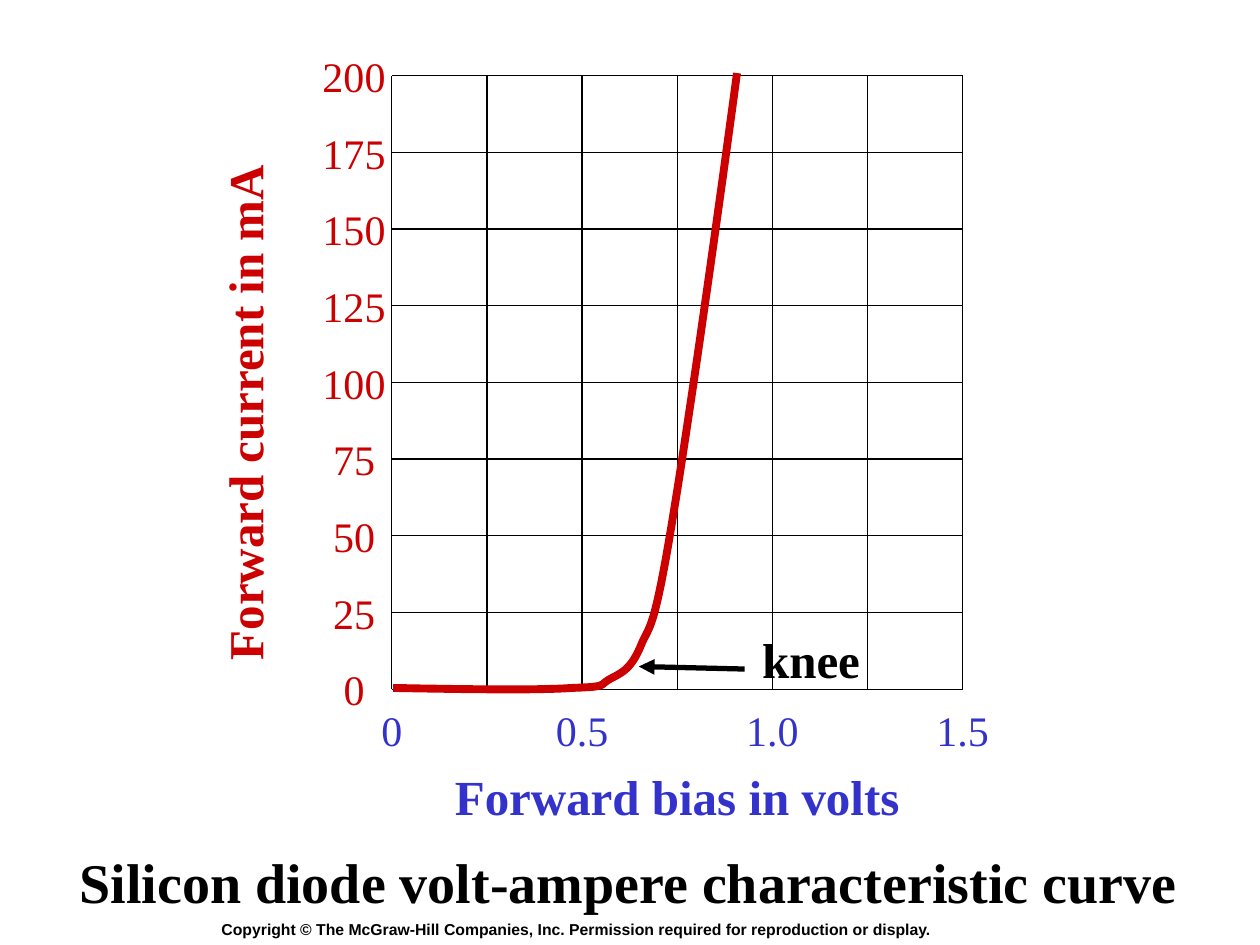
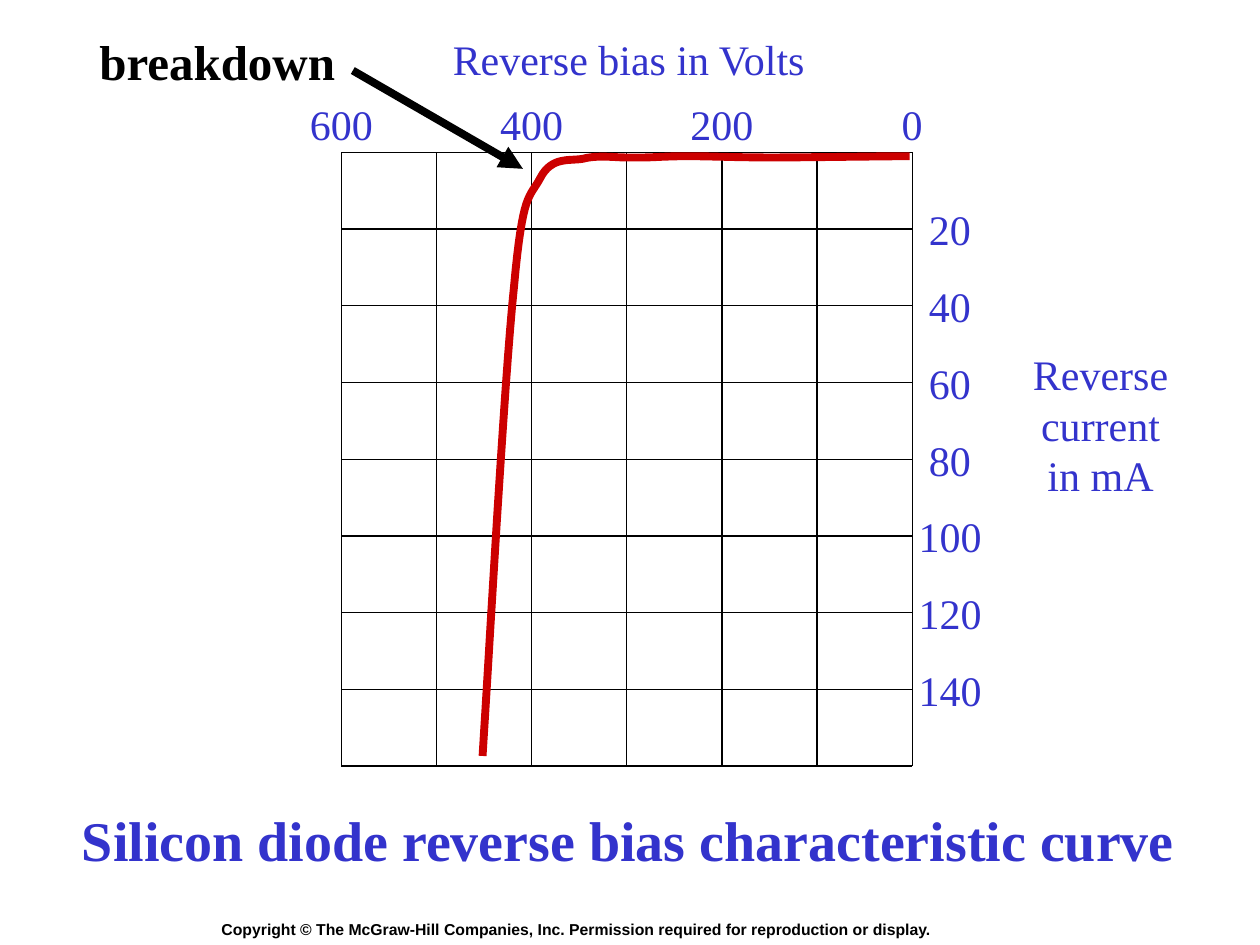
from collections import namedtuple

from lxml.etree import SubElement
from pptx import Presentation
from pptx.dml.color import RGBColor
from pptx.enum.shapes import MSO_CONNECTOR as CONNECTOR
from pptx.enum.text import MSO_ANCHOR as ANCHOR, MSO_AUTO_SIZE as AUTO_SIZE, PP_ALIGN as ALIGN
from pptx.oxml.ns import qn
from pptx.util import Inches, Pt

BLACK = RGBColor(0x00, 0x00, 0x00)
RED = RGBColor(0xCC, 0x00, 0x00)
BLUE = RGBColor(0x33, 0x33, 0xCC)
SERIF, SANS = "Times New Roman", "Arial"

COLUMNS, ROWS = 6, 8
GRAPH_WIDTH, GRAPH_HEIGHT = 4.53, 4.87
LABEL_HEIGHT = 0.5
COPYRIGHT = ("Copyright © The McGraw-Hill Companies, Inc. "
             "Permission required for reproduction or display.")

# Bezier curves, in inches from the top left of the graph:
# a start point, then two handles and an end point for each segment
FORWARD_CURVE = [
    (0.01, 4.86),
    (0.57, 4.87), (1.14, 4.88), (1.43, 4.86),
    (1.72, 4.85), (1.64, 4.84), (1.73, 4.79),
    (1.82, 4.74), (1.89, 4.72), (1.97, 4.54),
    (2.04, 4.36), (2.07, 4.45), (2.20, 3.69),
    (2.33, 2.93), (2.54, 1.46), (2.74, -0.02),
]
REVERSE_CURVE = [
    (4.51, 0.03),
    (4.33, 0.03), (3.71, 0.04), (3.41, 0.04),
    (3.12, 0.04), (2.92, 0.03), (2.75, 0.03),
    (2.58, 0.03), (2.48, 0.04), (2.39, 0.04),
    (2.31, 0.04), (2.32, 0.04), (2.25, 0.04),
    (2.17, 0.04), (2.03, 0.02), (1.92, 0.05),
    (1.81, 0.07), (1.67, 0.03), (1.58, 0.20),
    (1.49, 0.37), (1.44, 0.30), (1.37, 1.06),
    (1.29, 1.83), (1.17, 4.02), (1.12, 4.79),
]


class Box(namedtuple("Box", "left top width height")):
    def inner(self, dx, dy, width, height):
        """A box whose corner lies dx, dy from the corner of this one."""
        return Box(self.left + dx, self.top + dy, width, height)

    def column_x(self, column):
        return self.left + self.width * column / COLUMNS

    def row_y(self, row):
        return self.top + self.height * row / ROWS


SLIDE = Box(0, 0, 10, 7.5)


def add_text(slide, box, lines, color, size=24, bold=False, font=SERIF,
             align=ALIGN.CENTER, anchor=ANCHOR.MIDDLE, wrap=False):
    caption = slide.shapes.add_textbox(*map(Inches, box))
    frame = caption.text_frame
    frame.text = lines
    frame_format = {"word_wrap": wrap, "vertical_anchor": anchor,
                    "auto_size": AUTO_SIZE.SHAPE_TO_FIT_TEXT}
    for name, value in frame_format.items():
        setattr(frame, name, value)
    font_format = {"name": font, "size": Pt(size), "bold": bold}
    for paragraph in frame.paragraphs:
        paragraph.alignment = align
        for name, value in font_format.items():
            setattr(paragraph.font, name, value)
        paragraph.font.color.rgb = color
    return caption


def add_line(shapes, start, end, weight=0.75, arrow=False):
    line = shapes.add_connector(CONNECTOR.STRAIGHT, *map(Inches, start + end))
    line.line.color.rgb = BLACK
    line.line.width = Pt(weight)
    if arrow:
        SubElement(line.line._get_or_add_ln(), qn("a:tailEnd"), type="triangle")
    SubElement(line._element.spPr, qn("a:effectLst"))


def add_grid(slide, box):
    grid = slide.shapes.add_group_shape()
    right, bottom = box.left + box.width, box.top + box.height
    for row in range(ROWS + 1):
        y = box.row_y(row)
        add_line(grid.shapes, (box.left, y), (right, y))
    for column in range(COLUMNS + 1):
        x = box.column_x(column)
        add_line(grid.shapes, (x, bottom), (x, box.top))


def add_label(slide, x, y, value, color):
    """Axis value centred on a point, in a box a little wider than its digits."""
    width = 0.22 + sum(0.1 if char == "." else 0.17 for char in value)
    add_text(slide, Box(x - width / 2, y - LABEL_HEIGHT / 2, width, LABEL_HEIGHT),
             value, color)


def bezier_points(points, steps=16):
    for first in range(0, len(points) - 1, 3):
        segment = points[first:first + 4]
        for step in range(1, steps + 1):
            t = step / steps
            weights = ((1 - t) ** 3, 3 * t * (1 - t) ** 2, 3 * t ** 2 * (1 - t), t ** 3)
            yield tuple(sum(w * p[axis] for w, p in zip(weights, segment))
                        for axis in (0, 1))


def add_curve(slide, box, points):
    def place(point):
        return Inches(box.left + point[0]), Inches(box.top + point[1])

    builder = slide.shapes.build_freeform(*place(points[0]))
    builder.add_line_segments([place(p) for p in bezier_points(points)], close=False)
    curve = builder.convert_to_shape()
    curve.shadow.inherit = False
    curve.fill.background()
    curve.line.color.rgb = RED
    curve.line.width = Pt(4.5)


def add_callout(slide, box, word):
    add_text(slide, box, word, BLACK, 28, True, align=ALIGN.LEFT, anchor=ANCHOR.TOP)


def add_footer(slide, box):
    add_text(slide, box.inner(1.66, 7.25, 6.5, 0.25), COPYRIGHT, BLACK, 9, True,
             SANS, ALIGN.LEFT, ANCHOR.TOP, wrap=True)


def add_title(slide, box, title, color):
    add_text(slide, box, title, color, 32, True)


def forward_graph(slide, box):
    current_title = add_text(slide, box.inner(-3.24, 2.39, 4.13, 0.57),
                             "Forward current in mA", RED, 28, True)
    current_title.rotation = 270
    add_grid(slide, box)
    # Axis values
    for index, volts in enumerate(("0", "0.5", "1.0", "1.5")):
        add_label(slide, box.column_x(2 * index), box.top + box.height + 0.32, volts, BLUE)
    for row in range(ROWS + 1):
        add_label(slide, box.left - 0.3, box.row_y(row), str(200 - 25 * row), RED)
    add_text(slide, box.inner(0.4, 5.43, 3.73, 0.57), "Forward bias in volts",
             BLUE, 28, True)
    add_curve(slide, box, FORWARD_CURVE)
    # Knee of the curve
    add_callout(slide, box.inner(2.84, 4.35, 1.02, 0.57), "knee")
    add_line(slide.shapes, (box.left + 2.8, box.top + 4.71),
             (box.left + 1.96, box.top + 4.69), 3, arrow=True)


def reverse_graph(slide, box):
    add_grid(slide, box)
    # Axis values
    for index in range(4):
        add_label(slide, box.column_x(6 - 2 * index), box.top - 0.23,
                  str(200 * index), BLUE)
    add_curve(slide, box, REVERSE_CURVE)
    for row in range(1, ROWS):
        add_label(slide, box.left + box.width + 0.3, box.row_y(row), str(20 * row), BLUE)
    # Axis titles
    add_text(slide, box.inner(0.76, -0.99, 3.04, 0.5), "Reverse bias in Volts", BLUE)
    add_text(slide, box.inner(5.39, 1.51, 1.27, 1.3), "Reverse\ncurrent\nin mA", BLUE)
    # Breakdown point
    add_callout(slide, box.inner(-2.02, -1.01, 2.1, 0.57), "breakdown")
    add_line(slide.shapes, (box.left + 0.09, box.top - 0.65),
             (box.left + 1.44, box.top + 0.13), 4.5, arrow=True)


def add_graph_slide(deck, draw_graph, corner, title, title_top, title_color):
    slide = deck.slides.add_slide(deck.slide_layouts[6])
    add_footer(slide, SLIDE)
    draw_graph(slide, SLIDE.inner(*corner, GRAPH_WIDTH, GRAPH_HEIGHT))
    add_title(slide, SLIDE.inner(0.49, title_top, 9, 0.64), title, title_color)


def main():
    deck = Presentation()
    deck.slide_width, deck.slide_height = Inches(SLIDE.width), Inches(SLIDE.height)
    add_graph_slide(deck, forward_graph, (3.11, 0.6),
                    "Silicon diode volt-ampere characteristic curve", 6.67, BLACK)
    add_graph_slide(deck, reverse_graph, (2.71, 1.21),
                    "Silicon diode reverse bias characteristic curve", 6.34, BLUE)
    deck.save("out.pptx")


if __name__ == "__main__":
    main()
